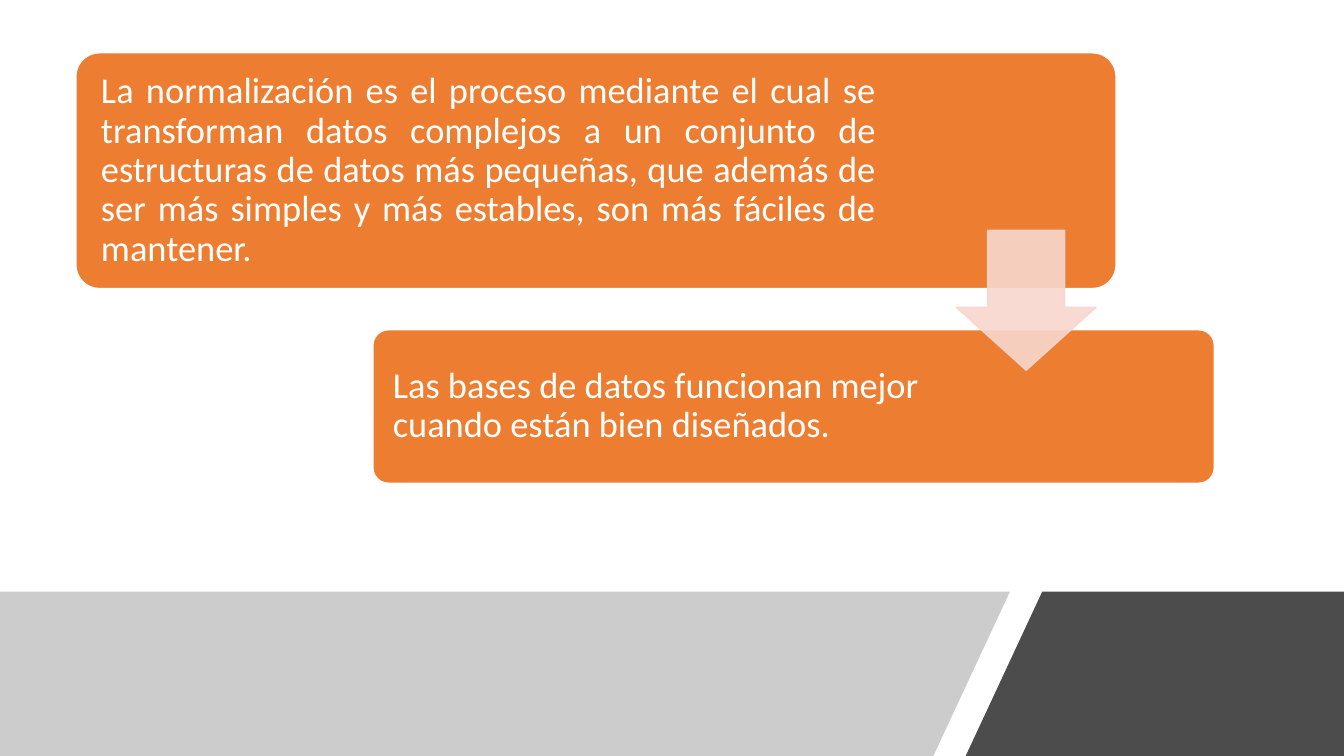
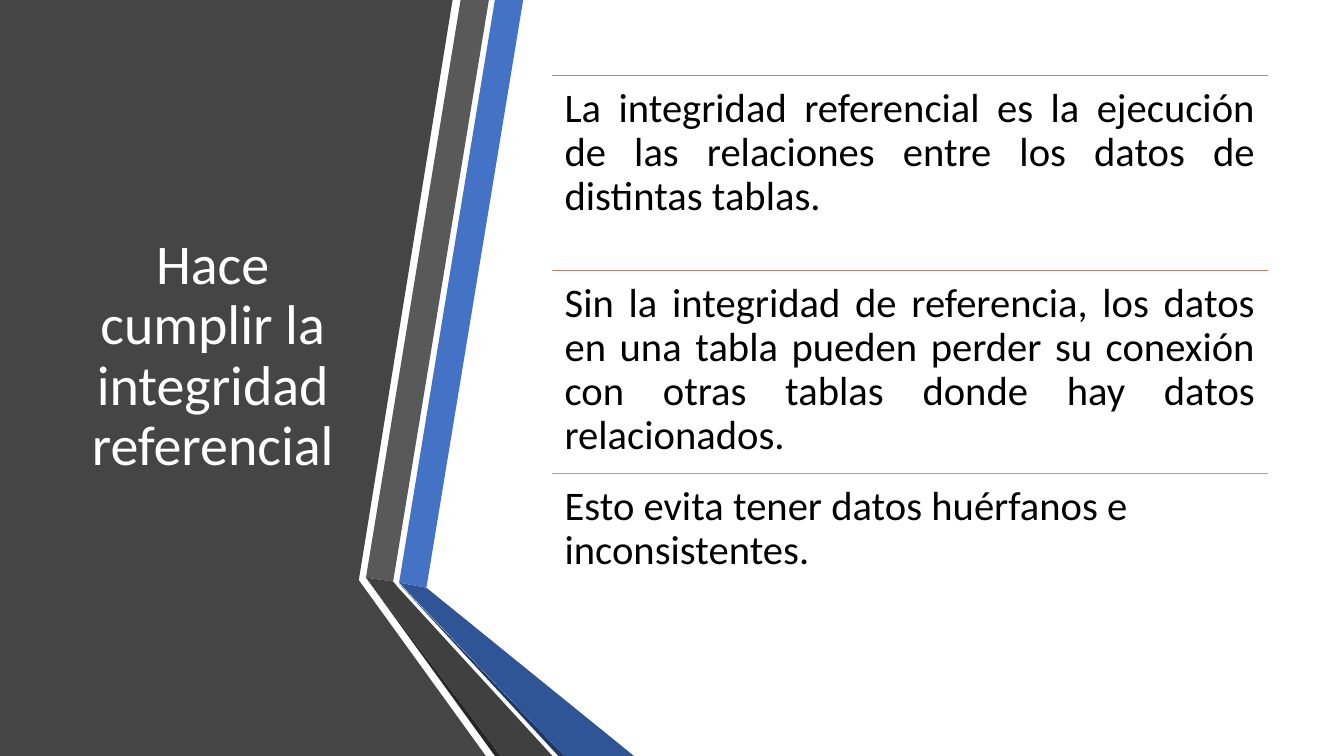
from itertools import pairwise

from pptx import Presentation
from pptx.dml.color import RGBColor
from pptx.enum.shapes import MSO_CONNECTOR, MSO_SHAPE
from pptx.enum.text import MSO_ANCHOR, MSO_AUTO_SIZE, PP_ALIGN
from pptx.oxml.ns import qn
from pptx.oxml.xmlchemy import OxmlElement
from pptx.util import Pt

FONT = "Calibri"
WIDTH, HEIGHT = 960, 540

WHITE = RGBColor(0xFF, 0xFF, 0xFF)
BLACK = RGBColor(0x00, 0x00, 0x00)
GREY = RGBColor(0x80, 0x80, 0x80)
ORANGE = RGBColor(0xED, 0x7D, 0x31)
PINK = RGBColor(0xF8, 0xD7, 0xCE)
ROSE = RGBColor(0xC4, 0x81, 0x70)
SILVER = RGBColor(0xA5, 0xA5, 0xA5)
PANEL_GREY = RGBColor(0x45, 0x45, 0x45)
BLUE = RGBColor(0x44, 0x72, 0xC4)
STRIPE_GREY = RGBColor(0x59, 0x59, 0x59)
CHARCOAL = RGBColor(0x26, 0x26, 0x26)
NAVY = RGBColor(0x20, 0x38, 0x64)
DEEP_BLUE = RGBColor(0x2F, 0x55, 0x97)
DARK_GREY = RGBColor(0x40, 0x40, 0x40)

# Slide 1: (points, colour, opacity in percent)
BAND_TOP = 422.6
BANDS = [
    ([(0, BAND_TOP), (721.4, BAND_TOP), (666.7, HEIGHT), (0, HEIGHT)], GREY, 40),
    ([(744.5, BAND_TOP), (WIDTH, BAND_TOP), (WIDTH, HEIGHT), (689.8, HEIGHT)], BLACK, 70),
]
# (text, alignment, box, left and right inset)
CARDS = [
    ("La normalización es el proceso mediante el cual se transforman datos "
     "complejos a un conjunto de estructuras de datos más pequeñas, que además "
     "de ser más simples y más estables, son más fáciles de mantener.",
     PP_ALIGN.JUSTIFY, (54.2, 37.7, 743, 168.4), (13, 166)),
    ("Las bases de datos funcionan mejor cuando están bien diseñados.",
     PP_ALIGN.LEFT, (266.4, 235.6, 601, 109.6), (11, 200)),
]
ARROW_BOX = (683, 164.5, 100, 100)

# Slide 2
TITLE = "Hace cumplir la integridad referencial"
TITLE_BOX = (42.5, 54, 218.9, 401.8)
RIBBONS = [
    ([(0, 0), (323.3, 0), (256.3, 414.4), (347, HEIGHT), (0, HEIGHT)], PANEL_GREY),
    ([(285.1, 416.2), (304.6, 419.8), (373.7, 0), (353.5, 0)], BLUE),
    ([(349.2, 0), (329, 0), (261.4, 412.6), (280.8, 415.4)], STRIPE_GREY),
    ([(261.4, 412.6), (353.5, HEIGHT), (357.8, HEIGHT)], CHARCOAL),
    ([(285.1, 416.9), (398.9, HEIGHT), (403.2, HEIGHT)], NAVY),
    ([(285.1, 416.2), (403.2, HEIGHT), (452.9, HEIGHT), (304.6, 419.8)], DEEP_BLUE),
    ([(261.4, 412.6), (357.8, HEIGHT), (394.6, HEIGHT), (284.4, 419.8),
      (280.8, 415.4)], DARK_GREY),
]
ROWS = [
    ("La integridad referencial es la ejecución de las relaciones entre los "
     "datos de distintas tablas.", PP_ALIGN.JUSTIFY, ORANGE),
    ("Sin la integridad de referencia, los datos en una tabla pueden perder su "
     "conexión con otras tablas donde hay datos relacionados.",
     PP_ALIGN.JUSTIFY, ROSE),
    ("Esto evita tener datos huérfanos e inconsistentes.", PP_ALIGN.LEFT, SILVER),
]
ROW_LEFT, ROW_WIDTH = 394.6, 511
ROW_EDGES = [54, 193.4, 338.2, 455.8]


def points(values):
    """Turn plain numbers into lengths."""
    return [Pt(v) for v in values]


def paint(sp, fill, line=None, opacity=100):
    """Set the fill, outline and opacity of a shape without a shadow."""
    sp.shadow.inherit = False
    sp.fill.solid()
    sp.fill.fore_color.rgb = fill
    if line is None:
        sp.line.fill.background()
    else:
        sp.line.color.rgb = line
        sp.line.width = Pt(1)
    if opacity < 100:
        for color in sp.element.spPr.iter(qn("a:srgbClr")):
            alpha = OxmlElement("a:alpha")
            alpha.set("val", str(opacity * 1000))
            color.append(alpha)


def add_polygon(s, corners, fill, opacity=100):
    """Draw a closed outline through the corners."""
    first, *rest = [points(corner) for corner in corners]
    builder = s.shapes.build_freeform(*first)
    builder.add_line_segments(rest)
    paint(builder.convert_to_shape(), fill, opacity=opacity)


def add_shape(s, preset, box, adjustments, fill, line, opacity=100):
    """Add a preset shape with its adjustments and colours."""
    sp = s.shapes.add_shape(preset, *points(box))
    for i, value in enumerate(adjustments):
        sp.adjustments[i] = value
    paint(sp, fill, line, opacity)
    return sp


def write(sp, text, size, color, align, anchor, insets):
    """Fill a shape with one paragraph; insets are left, top, right, bottom."""
    tf = sp.text_frame
    tf.word_wrap = True
    tf.auto_size = MSO_AUTO_SIZE.NONE
    tf.vertical_anchor = anchor
    (tf.margin_left, tf.margin_top,
     tf.margin_right, tf.margin_bottom) = points(insets)
    p = tf.paragraphs[0]
    p.text = text
    p.alignment = align
    p.line_spacing = 0.9
    p.font.name = FONT
    p.font.size = Pt(size)
    p.font.color.rgb = color


def add_rule(s, left, top, width, color):
    """Draw a thin horizontal line."""
    rule = s.shapes.add_connector(
        MSO_CONNECTOR.STRAIGHT, *points((left, top, left + width, top)))
    rule.line.color.rgb = color
    rule.line.width = Pt(1)
    rule.element.spPr.append(OxmlElement("a:effectLst"))


def build_normalization(prs):
    """Build the slide with two cards joined by an arrow."""
    s = prs.slides.add_slide(prs.slide_layouts.get_by_name("Blank"))
    for corners, fill, opacity in BANDS:
        add_polygon(s, corners, fill, opacity)
    for text, align, box, (left, right) in CARDS:
        card = add_shape(s, MSO_SHAPE.ROUNDED_RECTANGLE, box, [0.1], ORANGE, WHITE)
        write(card, text, 26, WHITE, align, MSO_ANCHOR.MIDDLE, (left, 8, right, 8))
    add_shape(s, MSO_SHAPE.DOWN_ARROW, ARROW_BOX, [0.55, 0.45], PINK, PINK, 90)


def build_integrity(prs):
    """Build the slide with a title panel and ruled rows."""
    s = prs.slides.add_slide(prs.slide_layouts.get_by_name("Title Only"))
    for corners, fill in RIBBONS:
        add_polygon(s, corners, fill)

    title = s.shapes.title
    title.left, title.top, title.width, title.height = points(TITLE_BOX)
    write(title, TITLE, 40, WHITE, PP_ALIGN.CENTER, MSO_ANCHOR.MIDDLE,
          (7.2, 3.6, 7.2, 3.6))
    s.shapes.element.append(title.element)  # bring in front of the panel

    for (text, align, color), (top, bottom) in zip(ROWS, pairwise(ROW_EDGES)):
        add_rule(s, ROW_LEFT, top, ROW_WIDTH, color)
        row = s.shapes.add_textbox(*points((ROW_LEFT, top, ROW_WIDTH, bottom - top)))
        write(row, text, 29, BLACK, align, MSO_ANCHOR.TOP, [8.7] * 4)


prs = Presentation()
prs.slide_width, prs.slide_height = points((WIDTH, HEIGHT))
build_normalization(prs)
build_integrity(prs)
prs.save("out.pptx")
